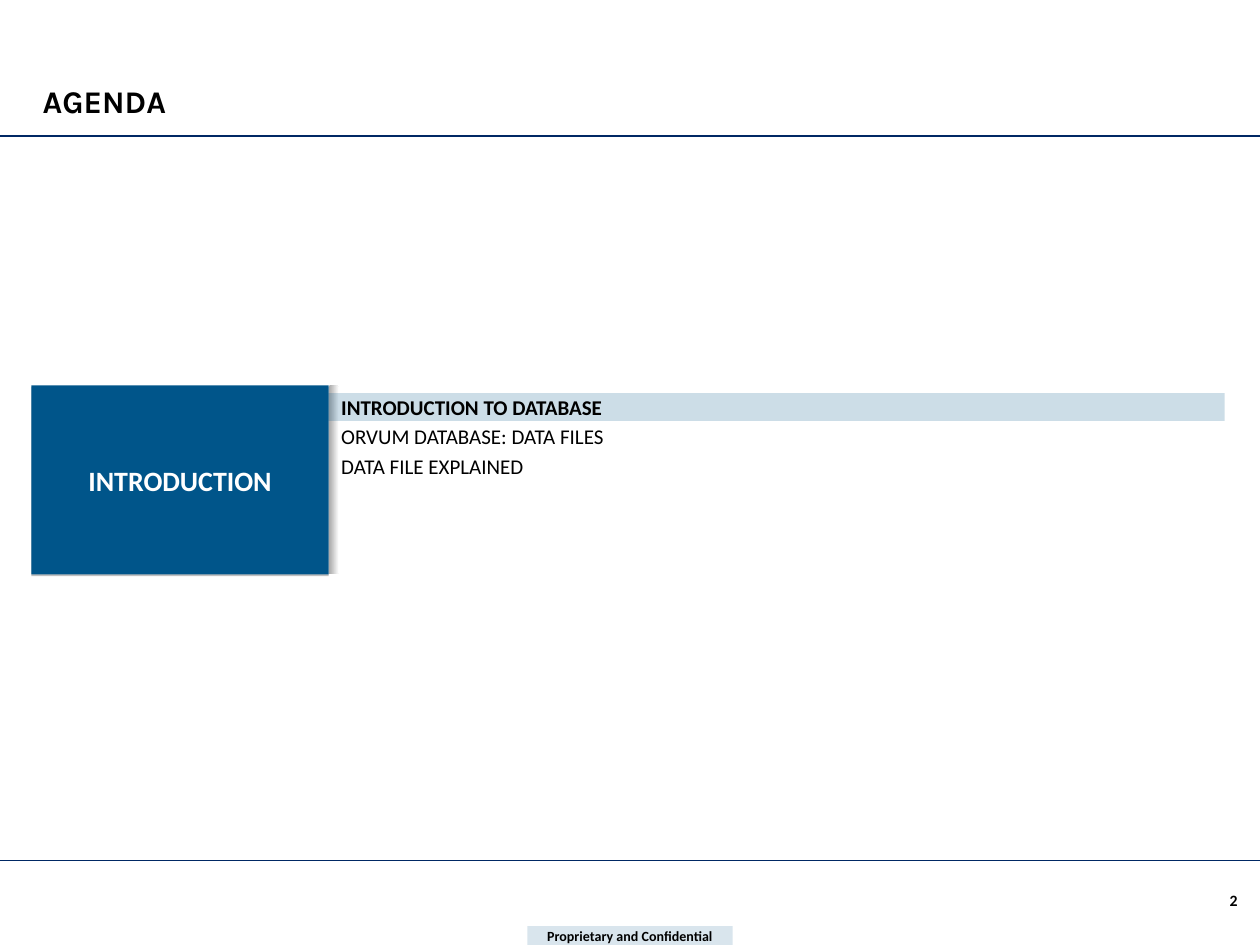
from lxml.etree import SubElement
from pptx import Presentation
from pptx.dml.color import RGBColor
from pptx.enum.shapes import MSO_CONNECTOR, MSO_SHAPE
from pptx.enum.text import MSO_ANCHOR, PP_ALIGN
from pptx.oxml.ns import qn
from pptx.util import Inches, Pt

WIDTH, HEIGHT = 10, 7.5
NAVY, BLUE, BLACK, WHITE = "002864", "00558A", "000000", "FFFFFF"
SECTION_LEFT, SECTION_TOP, SECTION_WIDTH, SECTION_HEIGHT = 0.25, 3.06, 2.36, 1.5
SECTION_RIGHT = SECTION_LEFT + SECTION_WIDTH
TOPICS = ["INTRODUCTION TO DATABASE", "ORVUM DATABASE: DATA FILES", "DATA FILE EXPLAINED"]
CURRENT_TOPIC = 0


def rgb(hex_colour):
    return RGBColor.from_string(hex_colour)


def add_block(slide, box, colour=None, opacity=100, preset=MSO_SHAPE.RECTANGLE):
    block = slide.shapes.add_shape(preset, *map(Inches, box))
    block.shadow.inherit = False
    block.line.fill.background()
    if colour:
        block.fill.solid()
        block.fill.fore_color.rgb = rgb(colour)
        if opacity < 100:
            solid = block.fill._xPr.find(qn("a:solidFill"))
            SubElement(solid[0], qn("a:alpha"), val=str(opacity * 1000))
    return block


def add_drop_shadow(block):
    effects = block._element.spPr.find(qn("a:effectLst"))
    shadow = SubElement(effects, qn("a:outerShdw"), dist=str(Pt(1)), dir="5400000",
                        algn="ctr", rotWithShape="0")
    grey = SubElement(shadow, qn("a:srgbClr"), val="808080")
    SubElement(grey, qn("a:alpha"), val="50000")


def add_edge_gradient(slide):
    """Soft grey edge to the right of the section block."""
    edge = add_block(slide, (SECTION_RIGHT, SECTION_TOP, 0.08, SECTION_HEIGHT),
                     preset=MSO_SHAPE.ROUNDED_RECTANGLE)
    edge.fill.gradient()
    edge.fill.gradient_angle = 0
    for stop, colour, position in zip(edge.fill.gradient_stops, ("A6A6A6", WHITE), (0, 1)):
        stop.color.rgb = rgb(colour)
        stop.position = position


def add_rule(slide, y):
    rule = slide.shapes.add_connector(MSO_CONNECTOR.STRAIGHT, 0, Inches(y),
                                      Inches(WIDTH), Inches(y))
    rule.line.color.rgb = rgb(NAVY)
    rule.line.width = Pt(0.75)
    SubElement(rule._element.spPr, qn("a:effectLst"))


def write(shape, lines, size, colour=BLACK, font="Calibri", align=PP_ALIGN.LEFT,
          anchor=MSO_ANCHOR.TOP, bold_lines=(0,), space_before=0, margin=None):
    frame = shape.text_frame
    frame.word_wrap = True
    frame.vertical_anchor = anchor
    if margin is not None:
        for side in ("left", "top", "right", "bottom"):
            setattr(frame, f"margin_{side}", Inches(margin))
    for index, line in enumerate(lines):
        paragraph = frame.paragraphs[0] if index == 0 else frame.add_paragraph()
        paragraph.alignment = align
        paragraph.space_before = Pt(space_before)
        run = paragraph.add_run()
        run.text = line
        formats = {"name": font, "size": Pt(size), "bold": index in bold_lines}
        for attribute, value in formats.items():
            setattr(run.font, attribute, value)
        run.font.color.rgb = rgb(colour)


def add_label(slide, box, lines, size, **formats):
    write(slide.shapes.add_textbox(*map(Inches, box)), lines, size, **formats)


def main():
    deck = Presentation()
    deck.slide_width, deck.slide_height = Inches(WIDTH), Inches(HEIGHT)
    slide = deck.slides.add_slide(deck.slide_layouts[6])
    centred = {"align": PP_ALIGN.CENTER, "anchor": MSO_ANCHOR.MIDDLE}

    add_edge_gradient(slide)
    for y in (1.08, 6.83):
        add_rule(slide, y)

    notice_width, notice_height = 1.63, 0.15
    notice = add_block(slide, ((WIDTH - notice_width) / 2, HEIGHT - notice_height,
                               notice_width, notice_height), BLUE, opacity=15)
    write(notice, ["Proprietary and Confidential"], 8, align=PP_ALIGN.CENTER, margin=0.01)
    add_label(slide, (9.55, 6.97, 0.48, 0.35), ["2"], 9, **centred)

    topic_pitch = 0.23
    add_block(slide, (2.58, 3.12 + CURRENT_TOPIC * topic_pitch, 7.14, 0.22), BLUE, opacity=20)
    section = add_block(slide, (SECTION_LEFT, SECTION_TOP, SECTION_WIDTH, SECTION_HEIGHT), BLUE)
    add_drop_shadow(section)
    write(section, ["INTRODUCTION"], 16, colour=WHITE, **centred)
    add_label(slide, (SECTION_RIGHT, 3.08, 7.14, SECTION_HEIGHT), TOPICS, 12,
              bold_lines=(CURRENT_TOPIC,), space_before=2.4)
    add_label(slide, (0.24, 0.09, 9.5, 0.91), ["AGENDA"], 18, font="Karla",
              anchor=MSO_ANCHOR.BOTTOM)

    deck.save("out.pptx")


if __name__ == "__main__":
    main()
